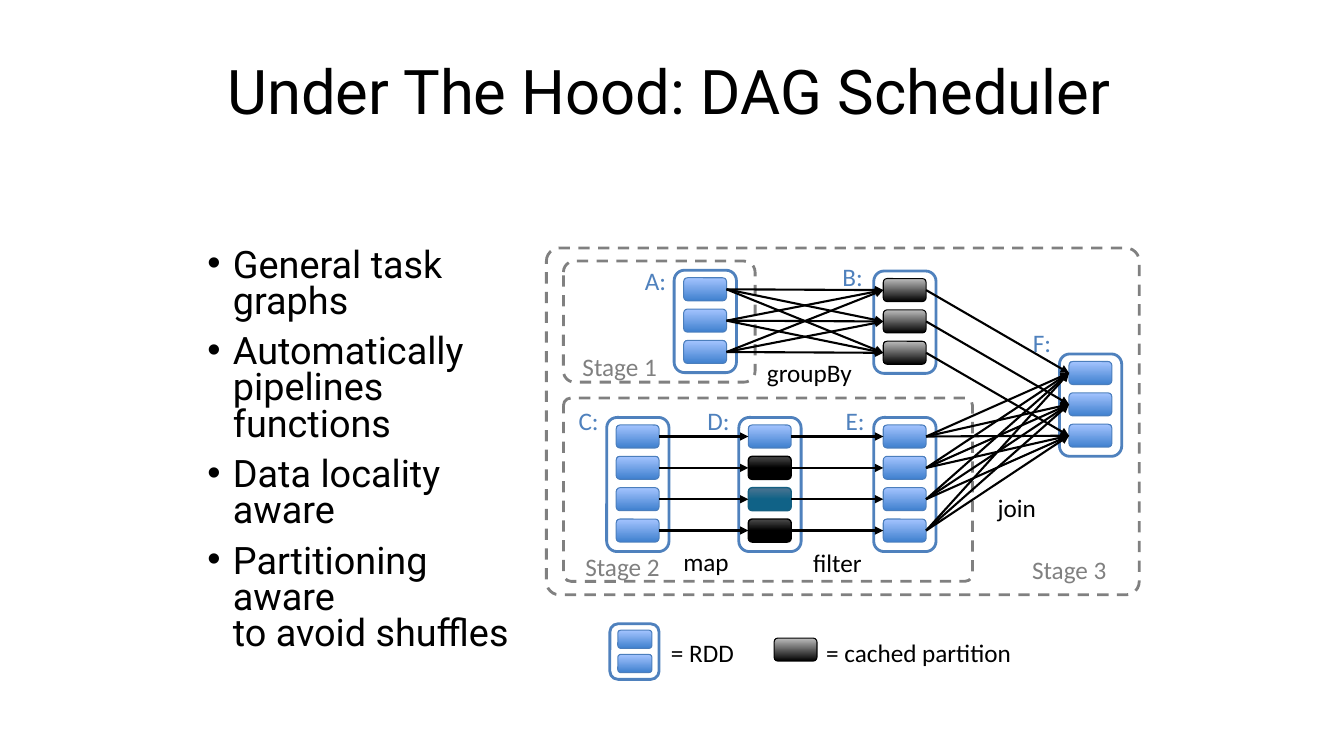
from lxml import etree
from pptx import Presentation
from pptx.dml.color import RGBColor
from pptx.enum import dml, shapes, text
from pptx.oxml import ns
from pptx.util import Cm, Pt

BLACK = RGBColor(0x00, 0x00, 0x00)
WHITE = RGBColor(0xFF, 0xFF, 0xFF)
GRAY = RGBColor(0x80, 0x80, 0x80)
BLUE = RGBColor(0x4F, 0x81, 0xBD)
EDGE_BLUE = RGBColor(0x4B, 0x7E, 0xBC)
TEAL = RGBColor(0x15, 0x60, 0x82)

# Partition styles: bottom colour, its position, top colour, outline, outline width
PLAIN = (RGBColor(0x3F, 0x80, 0xCE), 0, RGBColor(0xA4, 0xC4, 0xFF), EDGE_BLUE, 0.75)
CACHED = (BLACK, 0, RGBColor(0xBD, 0xBD, 0xBD), BLACK, 0.75)
DARK = (BLACK, 0.5, RGBColor(0x4B, 0x4B, 0x4B), BLACK, 1)
GREEN = (RGBColor(0x10, 0x62, 0x87), 0.5, RGBColor(0x4C, 0x75, 0x91), TEAL, 1)

prs = Presentation()
prs.slide_width, prs.slide_height = Cm(33.87), Cm(19.05)
s = prs.slides.add_slide(prs.slide_layouts[6])


def add_box(x, y, w, h, color, width, style=None):
    sp = s.shapes.add_shape(shapes.MSO_SHAPE.ROUNDED_RECTANGLE, Cm(x), Cm(y), Cm(w), Cm(h))
    sp.shadow.inherit = False
    sp.line.color.rgb = color
    sp.line.width = Pt(width)
    if style:
        sp.fill.gradient()
        sp.fill.gradient_angle = 90
        low, high = sp.fill.gradient_stops
        low.color.rgb, low.position = style[:2]
        high.color.rgb, high.position = style[2], 1
    else:
        sp.fill.solid()
        sp.fill.fore_color.rgb = WHITE
    return sp


def add_text(x, y, w, h, paragraphs, size, font, color=BLACK):
    tf = s.shapes.add_textbox(Cm(x), Cm(y), Cm(w), Cm(h)).text_frame
    tf.word_wrap = True
    for i, content in enumerate(paragraphs):
        p = tf.paragraphs[0] if i == 0 else tf.add_paragraph()
        for j, line in enumerate(content.split("\n")):
            if j:
                p.add_line_break()
            r = p.add_run()
            r.text = line
            r.font.size = Pt(size)
            r.font.name = font
            r.font.color.rgb = color
    return tf


# Title
tf = add_text(5.44, 1.07, 22.86, 2.64, ["Under The Hood: DAG Scheduler"], 44, "Roboto")
tf.vertical_anchor = text.MSO_ANCHOR.MIDDLE
tf.paragraphs[0].alignment = text.PP_ALIGN.CENTER
tf.paragraphs[0].line_spacing = 0.9

# Bullet list
bullets = ["General task graphs", "Automatically pipelines functions",
           "Data locality aware", "Partitioning aware\nto avoid shuffles"]
tf = add_text(4.98, 6.15, 8.76, 9.96, bullets, 27, "Roboto")
for p in tf.paragraphs:
    p.line_spacing = 0.8
    p.space_before = Pt(10)
    pPr = p._p.get_or_add_pPr()
    pPr.set("marL", str(Cm(0.64)))
    pPr.set("indent", str(-Cm(0.64)))
    etree.SubElement(pPr, ns.qn("a:buFont")).set("typeface", "Arial")
    etree.SubElement(pPr, ns.qn("a:buChar")).set("char", "•")

# Stage frames
for x, y, w, h, radius in [(13.77, 6.25, 14.94, 8.74, 0.038),
                           (14.2, 6.58, 4.83, 3.05, 0.091),
                           (14.2, 10.03, 10.31, 4.62, 0.041)]:
    sp = add_box(x, y, w, h, GRAY, 2)
    sp.fill.background()
    sp.line.dash_style = dml.MSO_LINE.DASH
    sp.adjustments[0] = radius

# RDDs with their partitions
PART_W, PART_H, PITCH = 1.08, 0.58, 0.79
INSET_X, INSET_Y = 0.24, 0.19
rdds = {
    "A": (16.99, 6.81, [PLAIN] * 3),
    "B": (22.02, 6.83, [CACHED] * 3),
    "C": (15.29, 10.52, [PLAIN] * 4),
    "D": (18.62, 10.52, [PLAIN, DARK, GREEN, DARK]),
    "E": (22.02, 10.52, [PLAIN] * 4),
    "F": (26.7, 8.92, [PLAIN] * 3),
}
for x, y, styles in rdds.values():
    add_box(x, y, 1.57, 0.18 + 0.8 * len(styles), BLUE, 2)
    for row, style in enumerate(styles):
        add_box(x + INSET_X, y + INSET_Y + row * PITCH, PART_W, PART_H, *style[3:], style)

# Dependencies: narrow ones join equal rows, wide ones join every row to every row
for source, target, wide in [("A", "B", True), ("B", "F", False), ("C", "D", False),
                             ("D", "E", False), ("E", "F", True)]:
    x1, y1, sources = rdds[source]
    x2, y2, targets = rdds[target]
    for i in range(len(sources)):
        for j in range(len(targets)):
            if not wide and i != j:
                continue
            c = s.shapes.add_connector(
                shapes.MSO_CONNECTOR.STRAIGHT,
                Cm(x1 + INSET_X + PART_W), Cm(y1 + INSET_Y + PART_H / 2 + i * PITCH),
                Cm(x2 + INSET_X), Cm(y2 + INSET_Y + PART_H / 2 + j * PITCH))
            c.line.color.rgb = BLACK
            c.line.width = Pt(1.5)
            etree.SubElement(c.line._get_or_add_ln(), ns.qn("a:tailEnd")).set("type", "triangle")
            etree.SubElement(c._element.spPr, ns.qn("a:effectLst"))

# Legend symbols
add_box(15.37, 15.72, 1.24, 1.4, BLUE, 2)
for row in range(2):
    add_box(15.57, 15.88 + row * 0.61, 0.86, 0.46, *PLAIN[3:], PLAIN)
add_box(19.51, 16.08, 1.08, 0.58, *CACHED[3:], CACHED)

# Labels
for label, x, y, w, color in [
    ("A:", 16, 6.55, 1.09, BLUE), ("B:", 20.98, 6.45, 1.07, BLUE),
    ("C:", 14.33, 10.08, 1.07, BLUE), ("D:", 17.58, 10.08, 1.12, BLUE),
    ("E:", 21.06, 10.08, 1.04, BLUE), ("F:", 25.78, 8.13, 1.02, BLUE),
    ("Stage 1", 14.43, 8.74, 2.49, GRAY), ("Stage 2", 14.5, 13.77, 2.51, GRAY),
    ("Stage 3", 25.76, 13.84, 2.49, GRAY),
    ("groupBy", 19.08, 8.89, 2.77, BLACK), ("map", 16.97, 13.64, 1.7, BLACK),
    ("filter", 20.24, 13.67, 1.75, BLACK), ("join", 24.89, 12.29, 1.52, BLACK),
    ("= RDD", 16.66, 15.93, 2.21, BLACK), ("= cached partition", 20.57, 15.93, 5.26, BLACK),
]:
    tf = add_text(x, y, w, 1.02, [label], 18, "Calibri", color)
    tf.word_wrap = False
    tf.auto_size = text.MSO_AUTO_SIZE.SHAPE_TO_FIT_TEXT

prs.save("out.pptx")
